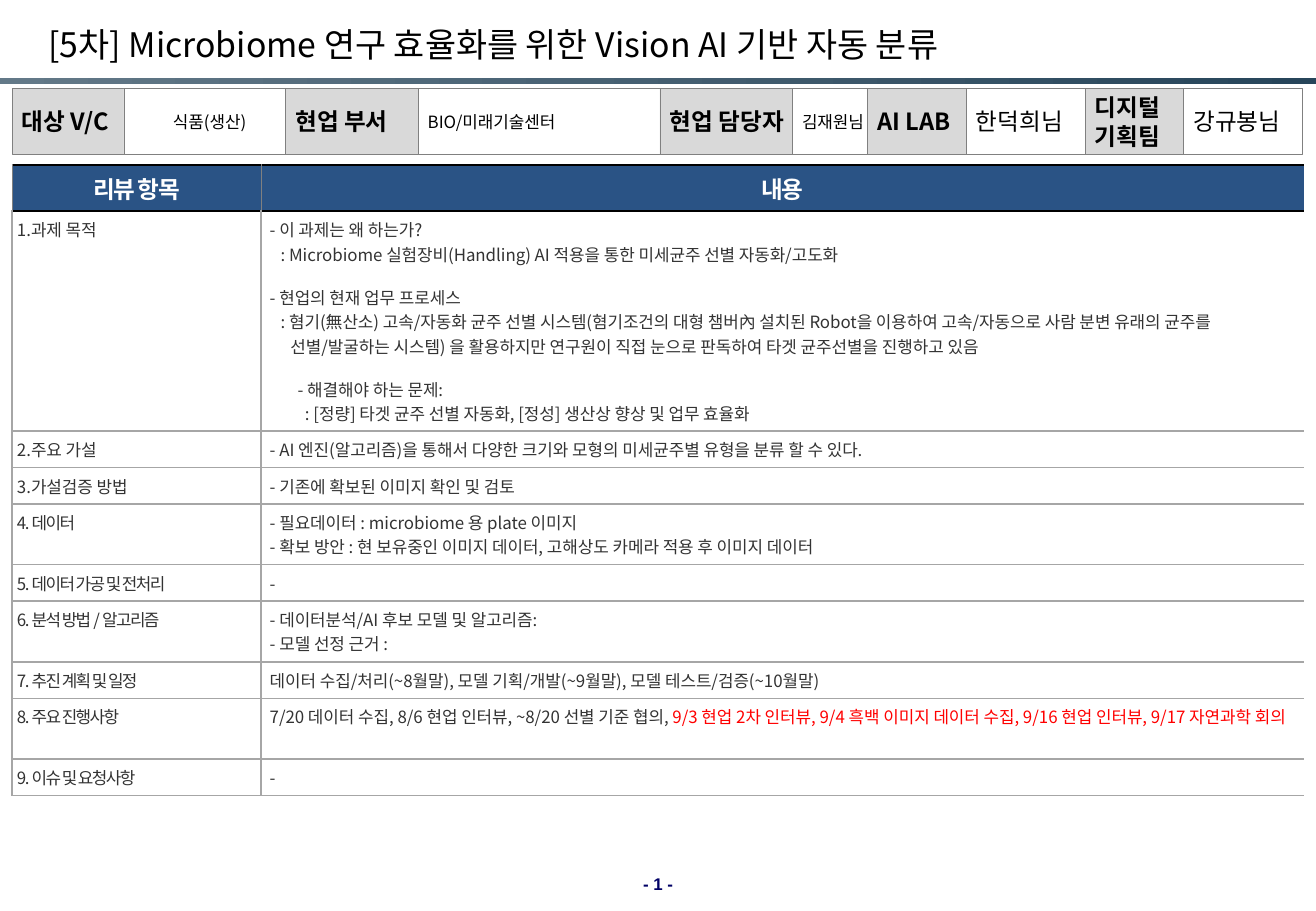
"""Build the one-page review sheet for the Microbiome classification project."""
from dataclasses import dataclass
from typing import Optional

from lxml.etree import SubElement
from pptx import Presentation
from pptx.dml.color import RGBColor
from pptx.enum.shapes import MSO_SHAPE
from pptx.enum.text import MSO_ANCHOR, PP_ALIGN
from pptx.oxml import parse_xml
from pptx.oxml.ns import nsdecls, qn
from pptx.util import Inches, Pt

COLORS = {
    "black": "000000", "white": "FFFFFF", "body": "333333", "new": "FF0000",
    "page": "000066", "header": "2A5385", "label": "D9D9D9", "frame": "808080",
    "grid": "A6A6A6", "bar_start": "637988", "bar_end": "27455A",
}
KOREAN_FONT = "Noto Sans CJK KR"
TIGHT = -0.9


@dataclass(frozen=True)
class Style:
    size: float
    color: str = "black"
    bold: bool = False
    align: PP_ALIGN = PP_ALIGN.LEFT
    spacing: float = 0
    font: str = KOREAN_FONT


@dataclass(frozen=True)
class Line:
    text: str
    first: float = 0.03
    left: float = 0
    before: float = 0
    new: str = ""


@dataclass(frozen=True)
class Review:
    item: str
    lines: tuple[Line, ...]
    height: float
    spacing: float = TIGHT


@dataclass(frozen=True)
class Field:
    label: str
    label_width: float
    value: str
    value_width: float
    size: float = 14
    align: PP_ALIGN = PP_ALIGN.LEFT


@dataclass(frozen=True)
class Border:
    color: str
    width: float


GRID = Border("grid", 0.96)
RULE = Border("black", 1.47)
FRAME = Border("frame", 0.5)

FIELDS = (
    Field("대상 V/C", 0.92, "식품(생산)", 1.33, 10, PP_ALIGN.CENTER),
    Field("현업 부서", 1.09, "BIO/미래기술센터", 1.99, 10),
    Field("현업 담당자", 1.09, "김재원님", 0.62, 10),
    Field("AI LAB", 0.81, "한덕희님", 0.98),
    Field("디지털\n기획팀", 0.81, "강규봉님", 0.98),
)

REVIEWS = (
    Review("1.과제 목적", (
        Line("- 이 과제는 왜 하는가?"),
        Line(": Microbiome 실험장비(Handling) AI 적용을 통한 미세균주 선별 자동화/고도화", 0.12),
        Line("- 현업의 현재 업무 프로세스", before=11.3),
        Line(": 혐기(無산소) 고속/자동화 균주 선별 시스템(혐기조건의 대형 챔버內 설치된 Robot을 "
             "이용하여 고속/자동으로 사람 분변 유래의 균주를 선별/발굴하는 시스템) 을 활용하지만 "
             "연구원이 직접 눈으로 판독하여 타겟 균주선별을 진행하고 있음", 0.12, 0.2),
        Line("- 해결해야 하는 문제:", 0.26, before=11.3),
        Line(": [정량] 타겟 균주 선별 자동화, [정성] 생산상 향상 및 업무 효율화", 0.32),
    ), 1.81, 0),
    Review("2.주요 가설", (
        Line("- AI 엔진(알고리즘)을 통해서 다양한 크기와 모형의 미세균주별 유형을 분류 할 수 있다."),
    ), 0.3, 0),
    Review("3.가설검증 방법", (Line("- 기존에 확보된 이미지 확인 및 검토"),), 0.3, 0),
    Review("4. 데이터", (
        Line("- 필요데이터 : microbiome 용 plate 이미지"),
        Line("- 확보 방안 : 현 보유중인 이미지 데이터, 고해상도 카메라 적용 후 이미지 데이터"),
    ), 0.5),
    Review("5. 데이터 가공 및 전처리", (Line("-"),), 0.3),
    Review("6. 분석 방법 / 알고리즘", (
        Line("- 데이터분석/AI 후보 모델 및 알고리즘:"),
        Line("- 모델 선정 근거 :"),
    ), 0.5),
    Review("7. 추진 계획 및 일정", (
        Line("데이터 수집/처리(~8월말), 모델 기획/개발(~9월말), 모델 테스트/검증(~10월말)"),
    ), 0.3),
    Review("8. 주요 진행사항", (
        Line("7/20 데이터 수집, 8/6 현업 인터뷰, ~8/20 선별 기준 협의, ",
             new="9/3 현업 2차 인터뷰, 9/4 흑백 이미지 데이터 수집, 9/16 현업 인터뷰, 9/17 자연과학 회의"),
    ), 0.5),
    Review("9. 이슈 및 요청사항", (Line("-"),), 0.3),
)


def rgb(name: str) -> RGBColor:
    return RGBColor.from_string(COLORS[name])


def write(frame, lines: tuple[Line, ...], style: Style) -> None:
    frame.word_wrap = True
    for index, line in enumerate(lines):
        paragraph = frame.add_paragraph() if index else frame.paragraphs[0]
        paragraph.alignment = style.align
        paragraph.space_before = Pt(line.before)
        font = paragraph.font
        font.size, font.bold, font.name = Pt(style.size), style.bold, style.font
        font.color.rgb = rgb(style.color)
        properties = paragraph._p.get_or_add_pPr()
        properties.set("marL", str(Inches(line.left)))
        properties.set("indent", str(Inches(line.first - line.left)))
        defaults = properties.get_or_add_defRPr()
        defaults.set("spc", str(round(style.spacing * 100)))
        SubElement(defaults, qn("a:ea")).set("typeface", style.font)
        paragraph.add_run().text = line.text
        if line.new:
            update = paragraph.add_run()
            update.text = line.new
            update.font.color.rgb = rgb("new")


def plain(text: str) -> tuple[Line, ...]:
    return tuple(Line(part, 0) for part in text.split("\n"))


def add_text(slide, box: tuple[float, ...], text: str, style: Style) -> None:
    frame = slide.shapes.add_textbox(*map(Inches, box)).text_frame
    frame.vertical_anchor = MSO_ANCHOR.MIDDLE
    write(frame, plain(text), style)


def add_rectangle(slide, left: float, top: float, width: float, height: float):
    rectangle = slide.shapes.add_shape(MSO_SHAPE.RECTANGLE, *map(Inches, (left, top, width, height)))
    rectangle.shadow.inherit = False
    return rectangle


def add_field_box(slide, left: float, width: float, fill: str, text: str, style: Style) -> None:
    box = add_rectangle(slide, left, 0.73, width, 0.54)
    box.fill.solid()
    box.fill.fore_color.rgb = rgb(fill)
    box.line.color.rgb = rgb("frame")
    box.line.width = Pt(0.25)
    frame = box.text_frame
    frame.vertical_anchor = MSO_ANCHOR.MIDDLE
    frame.margin_left = Inches(0.08)
    frame.margin_top = frame.margin_right = frame.margin_bottom = 0
    write(frame, plain(text), style)


def fill_cell(cell, fill: str, lines: tuple[Line, ...], style: Style, margin: float,
              borders: tuple[Optional[Border], ...]) -> None:
    cell.margin_left = cell.margin_right = Inches(margin)
    cell.fill.solid()
    cell.fill.fore_color.rgb = rgb(fill)
    properties = cell._tc.get_or_add_tcPr()
    for index, (side, border) in enumerate(zip("LRTB", borders)):
        paint = (f'<a:solidFill><a:srgbClr val="{COLORS[border.color]}"/></a:solidFill>'
                 if border else "<a:noFill/>")
        width = Pt(border.width) if border else 0
        properties.insert(index, parse_xml(f'<a:ln{side} {nsdecls("a")} w="{width}">{paint}</a:ln{side}>'))
    write(cell.text_frame, lines, style)


def add_review_table(slide) -> None:
    heights = [0.38] + [review.height for review in REVIEWS]
    table = slide.shapes.add_table(len(heights), 2, Inches(0.1), Inches(1.36),
                                   Inches(10.63), Inches(sum(heights))).table
    table.first_row = table.horz_banding = False
    for column, width in zip(table.columns, (2.05, 8.58)):
        column.width = Inches(width)
    for row, height in zip(table.rows, heights):
        row.height = Inches(height)
    heading = Style(14, "white", True, PP_ALIGN.CENTER, TIGHT)
    for column, (text, right) in enumerate((("리뷰 항목", FRAME), ("내용", None))):
        fill_cell(table.cell(0, column), "header", plain(text), heading, 0.1, (FRAME, right, RULE, RULE))
    for row, review in enumerate(REVIEWS, 1):
        top = RULE if row == 1 else GRID
        fill_cell(table.cell(row, 0), "white", plain(review.item),
                  Style(10, "body", spacing=review.spacing), 0.04, (GRID, GRID, top, GRID))
        fill_cell(table.cell(row, 1), "white", review.lines, Style(10, "body"), 0.04,
                  (GRID, None, top, GRID))


def main() -> None:
    deck = Presentation()
    deck.slide_width, deck.slide_height = Inches(10.83), Inches(7.5)
    slide = deck.slides.add_slide(deck.slide_layouts[6])
    add_text(slide, (0, 7.14, 10.83, 0.27), "- 1 -",
             Style(10, "page", True, PP_ALIGN.CENTER, font="Arial"))
    bar = add_rectangle(slide, 0, 0.64, 10.83, 0.05)
    bar.line.fill.background()
    bar.fill.gradient()
    bar.fill.gradient_angle = 0
    for stop, color in zip(bar.fill.gradient_stops, ("bar_start", "bar_end")):
        stop.color.rgb = rgb(color)
    add_review_table(slide)
    left = 0.1
    for field in FIELDS:
        add_field_box(slide, left, field.label_width, "label", field.label, Style(14, bold=True))
        left += field.label_width
        add_field_box(slide, left, field.value_width, "white", field.value,
                      Style(field.size, align=field.align))
        left += field.value_width
    add_text(slide, (0.3, 0.15, 10.17, 0.42),
             "[5차] Microbiome 연구 효율화를 위한 Vision AI 기반 자동 분류", Style(20))
    deck.save("out.pptx")


if __name__ == "__main__":
    main()
